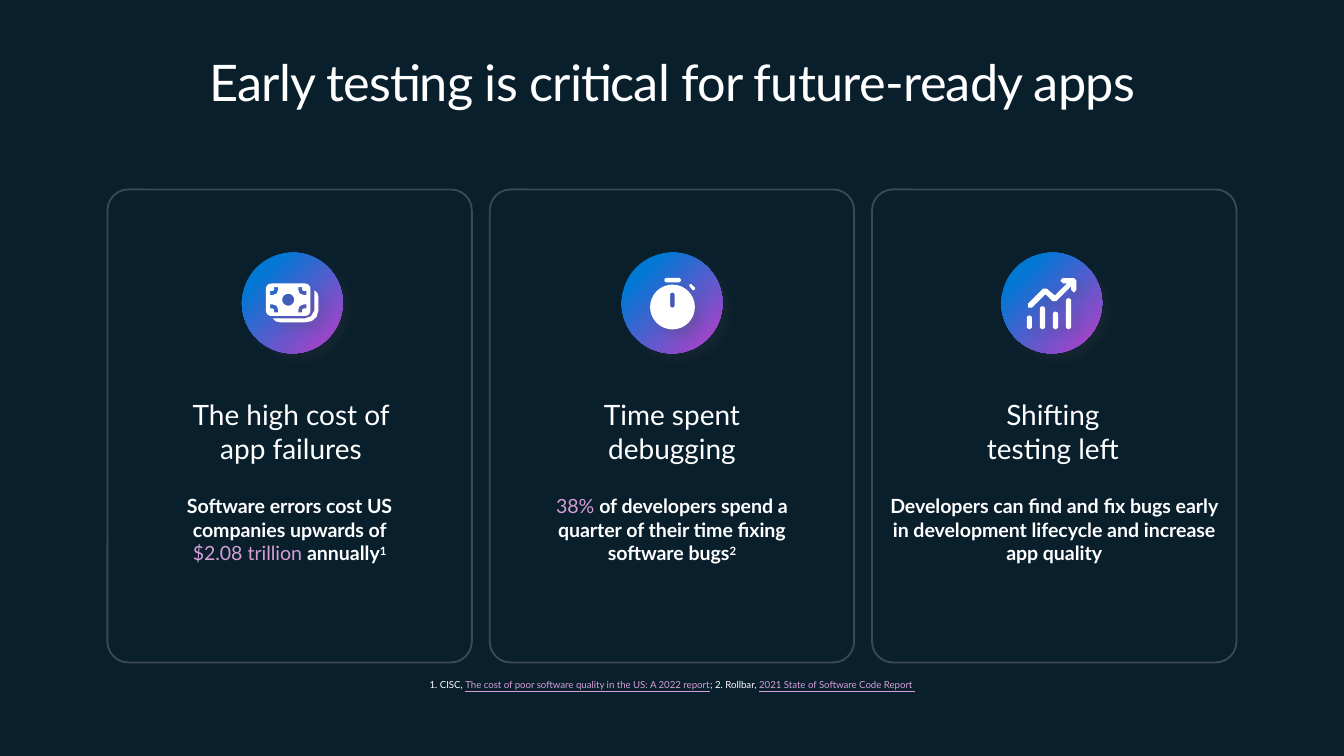
from math import cos, pi, sin

from lxml import etree
from pptx import Presentation
from pptx.dml.color import RGBColor
from pptx.enum.shapes import MSO_SHAPE
from pptx.enum.text import MSO_ANCHOR, PP_ALIGN
from pptx.oxml import parse_xml
from pptx.oxml.ns import qn
from pptx.util import Pt

ROUND, OVAL = MSO_SHAPE.ROUNDED_RECTANGLE, MSO_SHAPE.OVAL
TOP, MIDDLE, BOTTOM = MSO_ANCHOR.TOP, MSO_ANCHOR.MIDDLE, MSO_ANCHOR.BOTTOM
CENTER = PP_ALIGN.CENTER
NAVY = RGBColor(0x09, 0x1F, 0x2C)
WHITE = RGBColor(0xFF, 0xFF, 0xFF)
SLATE = RGBColor(0x3A, 0x49, 0x53)
PINK = RGBColor(0xD5, 0x9E, 0xD7)
PURPLE = RGBColor(0xC0, 0x3B, 0xC4)
BLUE = RGBColor(0x00, 0x78, 0xD4)
FONT = "Lato"
SHADOW = (
    '<a:outerShdw xmlns:a="http://schemas.openxmlformats.org/drawingml/2006/main"'
    ' blurRad="63500" dist="63500" dir="2700000" rotWithShape="0">'
    '<a:srgbClr val="454142"><a:alpha val="20000"/></a:srgbClr></a:outerShdw>'
)


def soft(left, top, wide, high, rad):
    """Return the outline of a rounded box."""
    hubs = ((left + wide - rad, top + high - rad), (left + rad, top + high - rad),
            (left + rad, top + rad), (left + wide - rad, top + rad))
    turns = [(x, y, (side + step / 8) * pi / 2)
             for side, (x, y) in enumerate(hubs) for step in range(9)]
    return [(x + rad * cos(a), y + rad * sin(a)) for x, y, a in turns]


def disc(x, y, rad):
    """Return the outline of a circle."""
    return soft(x - rad, y - rad, 2 * rad, 2 * rad, rad)


def money():
    """Return the outlines of the banknote icon."""
    x, y = -2.2, -1.7
    curl = [(5.4, 6.8), (5.4, 5.3), (6.2, 3.3), (8.3, 2.5), (9.7, 2.5),
            (9.7, 4.7), (8.3, 4.7), (7.5, 5.3), (7.5, 6.8)]
    curls = [[(x + h * a, y + v * b) for a, b in curl]
             for h in (-1, 1) for v in (-1, 1)]
    back = [(11.9, -6.8), (13.5, -5.2), (14, -3.2), (14, 4), (13, 7.5),
            (10.5, 9.7), (6.8, 10.4), (-6.8, 10.4), (-9, 9.8), (-10.4, 8.3),
            (6.8, 8.3), (10, 7.2), (11.9, 4)]
    return [soft(x - 11.9, y - 8.7, 23.8, 17.4, 2.9), disc(x, y, 3.2), back] + curls


def watch():
    """Return the outlines of the stopwatch icon."""
    knob = [(9.2, -9.3), (9.7, -10), (10.4, -10), (12.3, -8.2),
            (12.4, -7.3), (11.7, -6.8), (10.9, -7)]
    return [disc(0.3, 2.2, 12), soft(-1, -5.5, 2.5, 8, 1.2),
            soft(-4, -13.4, 8.8, 2.4, 1.2), knob]


def growth():
    """Return the outlines of the rising chart icon."""
    arrow = [(6, -10.5), (4.7, -12), (6, -13.3), (12, -13.3), (13.3, -12),
             (13.3, -7), (12, -5.5), (10.5, -7), (10.5, -9), (2.5, -1),
             (0.5, -1), (-3.2, -4.7), (-10.5, 2.5), (-12.6, 2.5), (-12.6, 0.4),
             (-4.7, -7.6), (-2.5, -7.6), (1.8, -4), (8.3, -10.5)]
    tops = (6.8, 1.8, 4.7, -2.5)
    return [arrow] + [soft(-13.3 + 7 * i, top, 2.8, 14 - top, 1.4)
                      for i, top in enumerate(tops)]


def shade(shape):
    """Drop the outline and cast a soft shadow."""
    shape.line.fill.background()
    shape.shadow.inherit = False
    shape.element.spPr.find(qn("a:effectLst")).append(parse_xml(SHADOW))


def write(slide, box, parts, size, anchor=TOP, inset=(0, 0), space=None):
    """Add a centred text box and return its runs."""
    frame = slide.shapes.add_textbox(*map(Pt, box)).text_frame
    frame.word_wrap = True
    frame.vertical_anchor = anchor
    frame.margin_left = frame.margin_right = Pt(inset[0])
    frame.margin_top = frame.margin_bottom = Pt(inset[1])
    para = frame.paragraphs[0]
    para.alignment = CENTER
    if space:
        para.line_spacing = space
    for text, color, bold in parts:
        run = para.add_run()
        run.text = text
        run.font.name, run.font.size = FONT, Pt(size)
        run.font.color.rgb, run.font.bold = color, bold
    return para.runs


def badge(slide, x, y, size, icon):
    """Draw a gradient disc with an icon, centred on a point."""
    oval = slide.shapes.add_shape(
        OVAL, Pt(x - size / 2), Pt(y - size / 2), Pt(size), Pt(size))
    oval.fill.gradient()
    first, last = oval.fill.gradient_stops
    first.color.rgb, first.position = PURPLE, 0
    last.color.rgb, last.position = BLUE, 0.8
    grad = oval.element.spPr.find(qn("a:gradFill"))
    grad.remove(grad.find(qn("a:lin")))
    glow = etree.SubElement(grad, qn("a:path"), path="circle")
    etree.SubElement(glow, qn("a:fillToRect"), l="100000", t="100000")
    shade(oval)

    paths = [[(Pt(x + a), Pt(y + b)) for a, b in path] for path in icon]
    pen = slide.shapes.build_freeform(*paths[0][0])
    for i, path in enumerate(paths):
        if i:
            pen.move_to(*path[0])
        pen.add_line_segments(path[1:], close=True)
    form = pen.convert_to_shape()
    form.fill.solid()
    form.fill.fore_color.rgb = WHITE
    shade(form)


def card(slide, box, data):
    """Draw one framed card with badge, heading and body."""
    left, top, wide, high = box
    icon, shift, head, span, body, width, note = data
    mid = left + wide / 2
    frame = slide.shapes.add_shape(ROUND, *map(Pt, box))
    frame.adjustments[0] = 0.057
    frame.fill.background()
    frame.line.color.rgb, frame.line.width = SLATE, Pt(1)
    frame.shadow.inherit = False
    badge(slide, mid + shift, top + 60.8, 54, icon)
    write(slide, (mid + shift / 2 - span / 2, top + 111.6, span, 36),
          [(head, WHITE, False)], 15, MIDDLE)
    runs = write(slide, (mid - width / 2, top + 162.7, width, 44),
                 body, 10.5, inset=(2.9, 0.7))
    if note:
        runs[-1].font._element.set("baseline", "30000")


def title(slide, box):
    """Write the slide title."""
    text = "Early testing is critical for future-ready apps"
    runs = write(slide, box, [(text, WHITE, False)], 27)
    runs[0].font._element.set("spc", "-40")


def source(slide, box):
    """Write the line of sources."""
    parts = [("1. CISC, ", WHITE, False),
             ("The cost of poor software quality in the US: A 2022 report", PINK, False),
             ("; 2. Rollbar, ", WHITE, False),
             ("2021 State of Software Code Report ", PINK, False)]
    runs = write(slide, box, parts, 5.2, BOTTOM, (2.9, 0.7), 1.2)
    for run in runs[1::2]:
        run.font.underline = True


def main():
    """Build and save the slide."""
    deck = Presentation()
    deck.slide_width, deck.slide_height = Pt(720), Pt(405)
    slide = deck.slides.add_slide(deck.slide_layouts[6])
    slide.background.fill.solid()
    slide.background.fill.fore_color.rgb = NAVY
    cards = [
        (money(), 1.4, "The high cost of app failures", 132,
         [("Software errors cost US companies upwards of ", WHITE, True),
          ("$2.08 trillion ", PINK, False), ("annually", WHITE, True),
          ("1", WHITE, True)], 138, True),
        (watch(), 0, "Time spent debugging", 129,
         [("38% ", PINK, False),
          ("of developers spend a quarter of their time fixing software bugs",
           WHITE, True), ("2", WHITE, True)], 145, True),
        (growth(), -1.4, "Shifting testing left", 96.5,
         [("Developers can find and fix bugs early in development lifecycle"
           " and increase app quality", WHITE, True)], 181.5, False),
    ]
    title(slide, (34.6, 27.4, 650.8, 32.4))
    for i, data in enumerate(cards):
        card(slide, (57.6 + 204.8 * i, 101.5, 195.2, 253.4), data)
    source(slide, (221, 355, 278.6, 15.8))
    deck.save("out.pptx")


if __name__ == "__main__":
    main()
